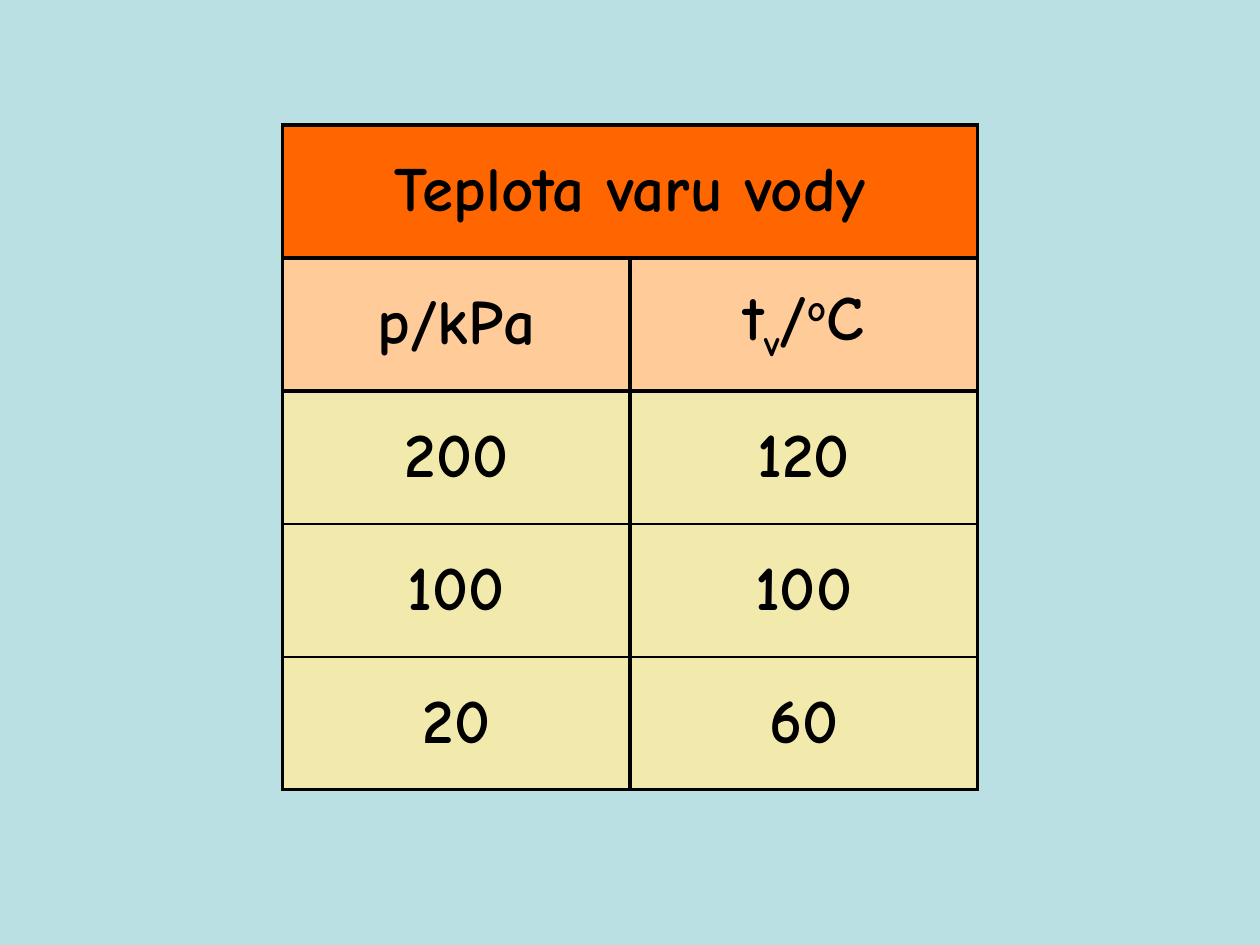
from dataclasses import dataclass

from lxml.etree import SubElement
from pptx import Presentation
from pptx.dml.color import RGBColor
from pptx.enum.text import MSO_ANCHOR, PP_ALIGN
from pptx.oxml.ns import qn
from pptx.util import Cm, Pt

FONT = "Comic Neue"
INK = "000000"
THICK, THIN = Pt(2.25), Pt(1)


@dataclass(frozen=True)
class Part:
    text: str
    base: int = 0


@dataclass(frozen=True)
class Row:
    fill: str
    cells: tuple[tuple[Part, ...], ...]
    top: int = THICK
    base: int = THICK


HEAD, UNIT, BODY = "FF6600", "FFCC99", "F2EAAC"
ROWS = (
    Row(HEAD, ((Part("Teplota varu vody"),),)),
    Row(UNIT, (
        (Part("p/kPa"),),
        (Part("t"), Part("v", -25000), Part("/"), Part("o", 30000), Part("C")),
    )),
    Row(BODY, ((Part("200"),), (Part("120"),)), base=THIN),
    Row(BODY, ((Part("100"),), (Part("100"),)), top=THIN, base=THIN),
    Row(BODY, ((Part("20"),), (Part("60"),)), top=THIN),
)


def paint(fill, tone: str) -> None:
    fill.solid()
    fill.fore_color.rgb = RGBColor.from_string(tone)


def edge(cell, row: Row) -> None:
    props = cell._tc.get_or_add_tcPr()
    sides = {"L": THICK, "R": THICK, "T": row.top, "B": row.base}
    for side, width in sides.items():
        line = SubElement(props, qn(f"a:ln{side}"), w=str(int(width)))
        solid = SubElement(line, qn("a:solidFill"))
        SubElement(solid, qn("a:srgbClr"), val=INK)


def write(cell, parts: tuple[Part, ...]) -> None:
    cell.vertical_anchor = MSO_ANCHOR.MIDDLE
    para = cell.text_frame.paragraphs[0]
    para.alignment = PP_ALIGN.CENTER
    for part in parts:
        run = para.add_run()
        run.text = part.text
        run.font.name = FONT
        run.font.size = Pt(36)
        run.font.bold = True
        paint(run.font.fill, INK)
        if part.base:
            run.font._element.set("baseline", str(part.base))


def draw(slide, rows: tuple[Row, ...]) -> None:
    frame = slide.shapes.add_table(
        len(rows), 2, Cm(5.7), Cm(2.52), Cm(14), Cm(13.4)
    )
    table = frame.table
    table.first_row = False
    table.horz_banding = False
    table.cell(0, 0).merge(table.cell(0, 1))
    for line, row in zip(table.rows, rows):
        for cell in line.cells:
            edge(cell, row)
            paint(cell.fill, row.fill)
        for cell, parts in zip(line.cells, row.cells):
            write(cell, parts)


def main() -> None:
    deck = Presentation()
    deck.slide_width, deck.slide_height = Cm(25.4), Cm(19.05)
    slide = deck.slides.add_slide(deck.slide_layouts[6])
    paint(slide.background.fill, "BBE0E3")
    draw(slide, ROWS)
    deck.save("out.pptx")


if __name__ == "__main__":
    main()
